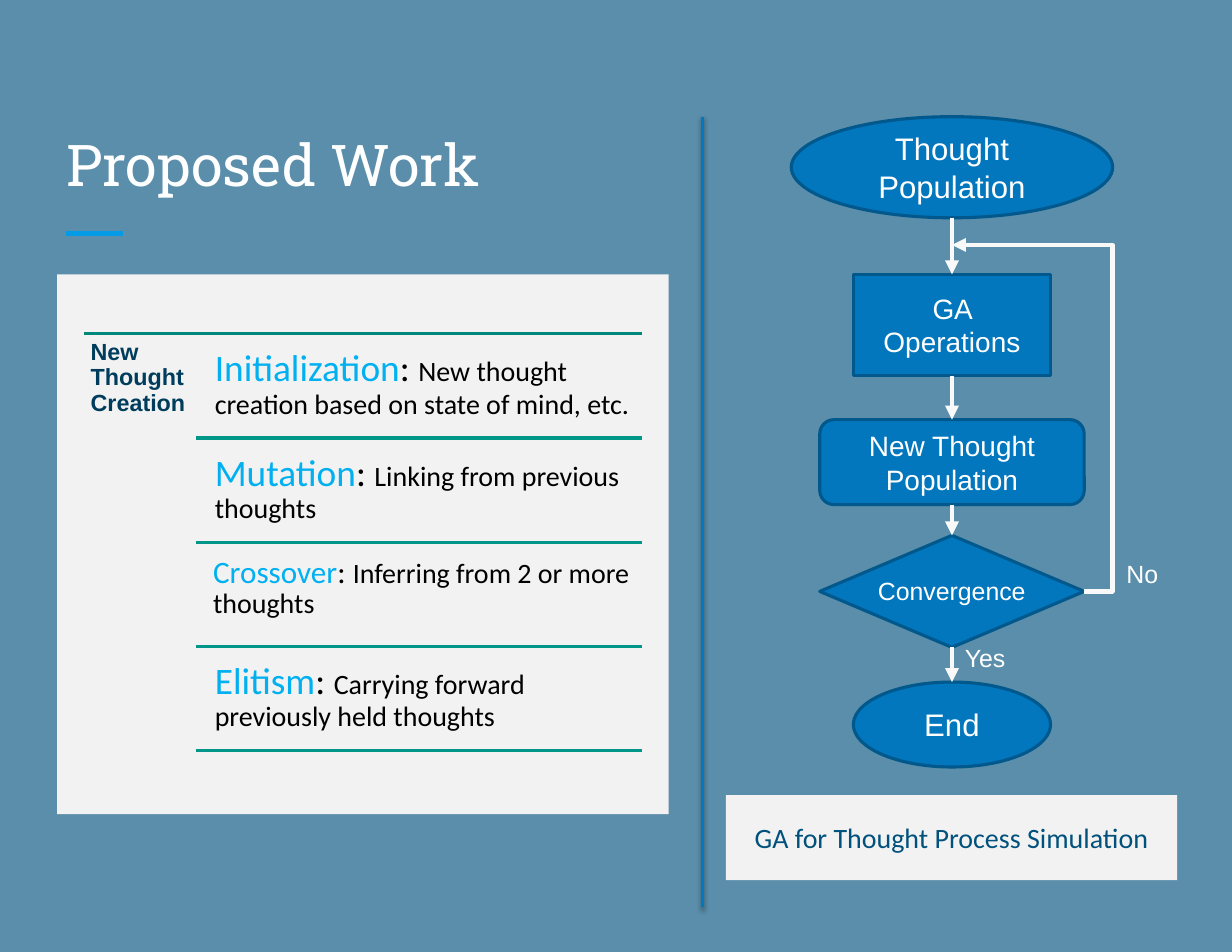
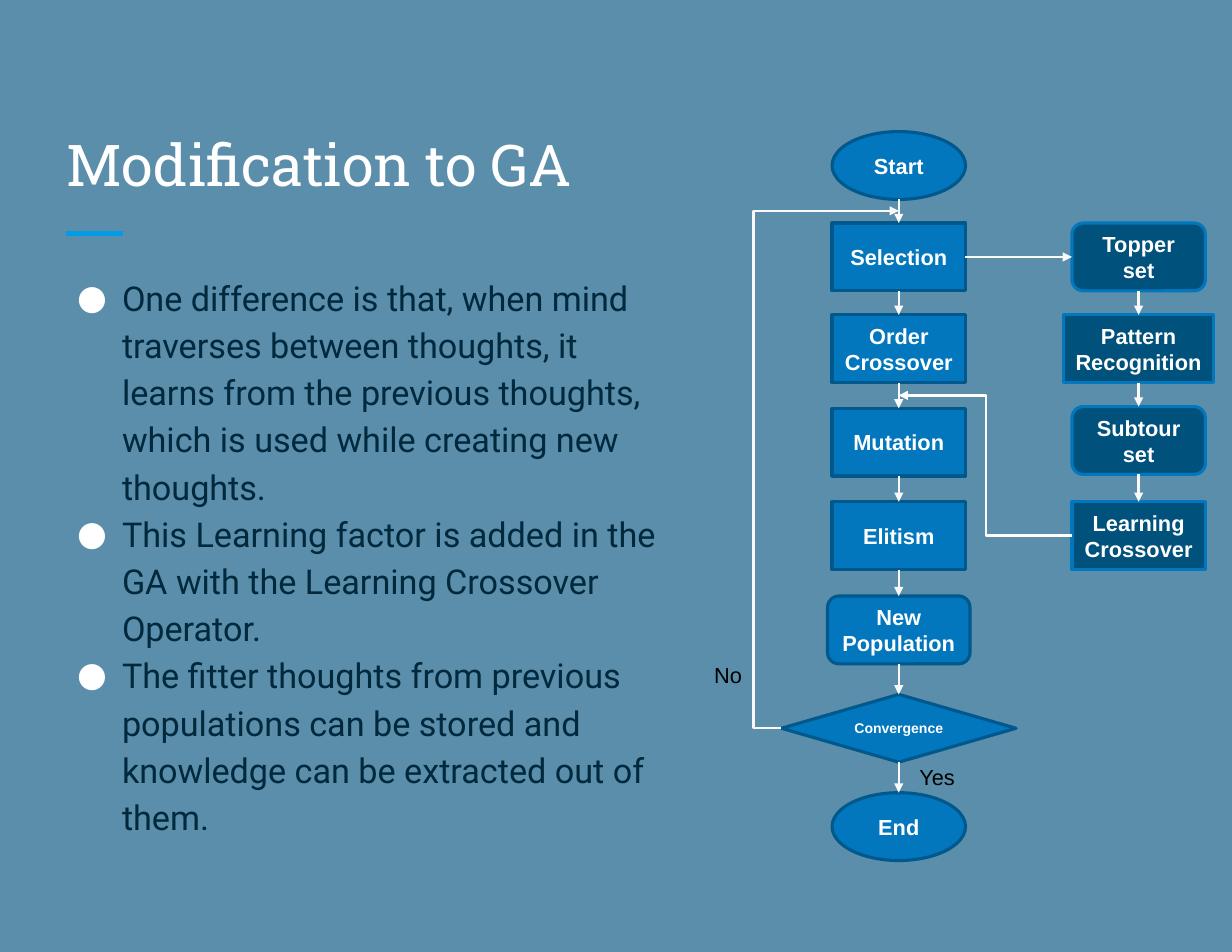
import lxml.etree
import pptx
import pptx.dml.color
import pptx.enum.shapes
import pptx.enum.text
import pptx.oxml.ns
import pptx.util

Pt = pptx.util.Pt
RGB = pptx.dml.color.RGBColor
SHAPE = pptx.enum.shapes.MSO_SHAPE
CONNECTOR = pptx.enum.shapes.MSO_CONNECTOR
ALIGN = pptx.enum.text.PP_ALIGN
ANCHOR = pptx.enum.text.MSO_ANCHOR
qn = pptx.oxml.ns.qn

BACKDROP = RGB(0x5A, 0x8E, 0xAA)
ACCENT = RGB(0x03, 0x9B, 0xE5)
BLUE = RGB(0x02, 0x77, 0xBD)
EDGE_BLUE = RGB(0x01, 0x58, 0x8C)
DEEP_BLUE = RGB(0x00, 0x51, 0x7C)
HEADING_BLUE = RGB(0x00, 0x3D, 0x5D)
BODY_NAVY = RGB(0x00, 0x29, 0x3E)
TERM_CYAN = RGB(0x00, 0xB0, 0xF0)
DARK_TEAL = RGB(0x00, 0x88, 0x7B)
TEAL = RGB(0x00, 0x96, 0x88)
PANEL = RGB(0xF2, 0xF2, 0xF2)
ARROW = RGB(0xF9, 0xF9, 0xF9)
WHITE = RGB(0xFF, 0xFF, 0xFF)
BLACK = RGB(0x00, 0x00, 0x00)

# Operators: term, term size, box inset, meaning
OPERATORS = [
    ("Initialization", 24, 7.2, "New thought creation based on state of mind, etc."),
    ("Mutation", 24, 7.2, "Linking from previous thoughts"),
    ("Crossover", 20, 6, "Inferring from 2 or more thoughts"),
    ("Elitism", 24, 7.2, "Carrying forward previously held thoughts"),
]
OPERATOR_TOP, OPERATOR_PITCH = 214.6, 66.96

# Flow steps: text, outline, top, width, height, text size
THOUGHT_X = 612
THOUGHT_FLOW = [
    ("Thought Population", SHAPE.OVAL, 75, 206.6, 65, 20),
    ("GA Operations", SHAPE.RECTANGLE, 176.4, 126.7, 65, 18),
    ("New Thought Population", SHAPE.ROUNDED_RECTANGLE, 269.8, 170, 54.6, 18),
    ("", SHAPE.DIAMOND, 344.2, 170, 72, 16),
    ("End", SHAPE.OVAL, 438.5, 126.7, 54.6, 20),
]
# Labels: text, left, top, width
THOUGHT_LABELS = [("Convergence", 557.3, 366.5, 112), ("No", 717.1, 355.7, 42),
                  ("Yes", 613.2, 409.7, 60)]

GA_X, LEARNING_X = 577.8, 732
STEP_W, STEP_H = 85.8, 43.6
GA_FLOW = [
    ("Start", SHAPE.OVAL, 84.6, STEP_W, STEP_H, 14),
    ("Selection", SHAPE.RECTANGLE, 143.4, STEP_W, STEP_H, 14),
    ("Order Crossover", SHAPE.RECTANGLE, 202.4, STEP_W, STEP_H, 14),
    ("Mutation", SHAPE.RECTANGLE, 262.5, STEP_W, STEP_H, 14),
    ("Elitism", SHAPE.RECTANGLE, 322.6, STEP_W, STEP_H, 14),
    ("New Population", SHAPE.ROUNDED_RECTANGLE, 383.2, 91.6, STEP_H, 14),
    ("Convergence", SHAPE.DIAMOND, 446.4, 150.8, STEP_H, 9),
    ("End", SHAPE.OVAL, 509.6, STEP_W, STEP_H, 14),
]
LEARNING_FLOW = [
    ("Topper set", SHAPE.ROUNDED_RECTANGLE, 143.4, STEP_W, STEP_H, 14),
    ("Pattern Recognition", SHAPE.RECTANGLE, 202.4, 96.6, STEP_H, 14),
    ("Subtour set", SHAPE.ROUNDED_RECTANGLE, 261.4, STEP_W, STEP_H, 14),
    ("Learning Crossover", SHAPE.RECTANGLE, 322.6, STEP_W, STEP_H, 14),
]
GA_LABELS = [("Yes", 583.9, 487.5, 50), ("No", 452, 421.9, 40)]

DIFFERENCES = [
    "One difference is that, when mind traverses between thoughts, it learns from "
    "the previous thoughts, which is used while creating new thoughts.",
    "This Learning factor is added in the GA with the Learning Crossover Operator.",
    "The fitter thoughts from previous populations can be stored and knowledge can "
    "be extracted out of them.",
]


def style_run(run, size, font, color, bold=False):
    run.font.size = Pt(size)
    run.font.name = font
    run.font.color.rgb = color
    run.font.bold = bold


def place(shape, left, top, width, height):
    shape.left, shape.top = Pt(left), Pt(top)
    shape.width, shape.height = Pt(width), Pt(height)


def set_frame(frame, inset_x, inset_y, anchor):
    frame.word_wrap = True
    frame.auto_size = pptx.enum.text.MSO_AUTO_SIZE.NONE
    frame.vertical_anchor = anchor
    frame.margin_left = frame.margin_right = Pt(inset_x)
    frame.margin_top = frame.margin_bottom = Pt(inset_y)


def add_line(slide, start, end, color, width, arrow=False, bend_x=None):
    """Draw a straight line, or an elbow whose upright part stands at bend_x."""
    kind = CONNECTOR.STRAIGHT if bend_x is None else CONNECTOR.ELBOW
    line = slide.shapes.add_connector(kind, *map(Pt, start + end))
    line.line.color.rgb = color
    line.line.width = Pt(width)
    properties = line._element.spPr
    if bend_x is not None:
        share = round((bend_x - start[0]) / (end[0] - start[0]) * 100000)
        guides = properties.find(qn("a:prstGeom")).get_or_add_avLst()
        lxml.etree.SubElement(guides, qn("a:gd"), name="adj1", fmla=f"val {share}")
    if arrow:
        lxml.etree.SubElement(properties.find(qn("a:ln")), qn("a:tailEnd"), type="triangle")
    lxml.etree.SubElement(properties, qn("a:effectLst"))
    return line


def add_shadow(line):
    effects = line._element.spPr.find(qn("a:effectLst"))
    shadow = lxml.etree.SubElement(effects, qn("a:outerShdw"), blurRad=str(Pt(3.1)),
                                   dist=str(Pt(1.6)), dir="5400000", rotWithShape="0")
    color = lxml.etree.SubElement(shadow, qn("a:srgbClr"), val=str(BLACK))
    lxml.etree.SubElement(color, qn("a:alpha"), val="38000")


def add_block(slide, outline, box, fill, edge=None):
    block = slide.shapes.add_shape(outline, *map(Pt, box))
    block.shadow.inherit = False
    block.fill.solid()
    block.fill.fore_color.rgb = fill
    if edge is None:
        block.line.fill.background()
    else:
        block.line.color.rgb = edge
        block.line.width = Pt(2)
    return block


def write_centred(block, text, size, font, color, bold=False):
    set_frame(block.text_frame, 6, 3.6, ANCHOR.MIDDLE)
    paragraph = block.text_frame.paragraphs[0]
    paragraph.text = text
    paragraph.alignment = ALIGN.CENTER
    for run in paragraph.runs:
        style_run(run, size, font, color, bold)


def add_text(slide, box, parts, inset_x, inset_y, spacing=1.0):
    """Add a one-paragraph box; each part is text, size, font, colour, bold."""
    frame = slide.shapes.add_textbox(*map(Pt, box)).text_frame
    set_frame(frame, inset_x, inset_y, ANCHOR.TOP)
    paragraph = frame.paragraphs[0]
    paragraph.line_spacing = spacing
    for text, *style in parts:
        run = paragraph.add_run()
        run.text = text
        style_run(run, *style)


def add_flow(slide, steps, center, fill, edge, arrow_width, bold=False):
    """Stack the steps on one axis and join each to the next."""
    for text, outline, top, width, height, size in steps:
        block = add_block(slide, outline, (center - width / 2, top, width, height), fill, edge)
        if text:
            write_centred(block, text, size, "Arial", WHITE, bold)
    for upper, lower in zip(steps, steps[1:]):
        add_line(slide, (center, upper[2] + upper[4]), (center, lower[2]),
                 ARROW, arrow_width, arrow=True)


def add_labels(slide, labels, size, color):
    for text, left, top, width in labels:
        add_text(slide, (left, top, width, 26), [(text, size, "Arial", color)], 7.2, 3.6)


def add_slide(deck, layout, heading, title_width):
    slide = deck.slides.add_slide(deck.slide_layouts[layout])
    add_line(slide, (42.3, 150), (79.2, 150), ACCENT, 3)
    title = slide.shapes.title
    place(title, 33.8, 54.7, title_width, 81.4)
    title.text_frame.text = heading
    set_frame(title.text_frame, 8.64, 8.64, ANCHOR.BOTTOM)
    paragraph = title.text_frame.paragraphs[0]
    paragraph.alignment = ALIGN.LEFT
    style_run(paragraph.runs[0], 37, "Roboto Slab", WHITE)
    return slide


def add_operators(slide):
    add_block(slide, SHAPE.RECTANGLE, (36.7, 176.4, 393.1, 347), PANEL)
    add_line(slide, (54, OPERATOR_TOP), (412.6, OPERATOR_TOP), DARK_TEAL, 2)
    add_text(slide, (54, OPERATOR_TOP, 72, 271),
             [("New Thought Creation", 15, "Arial", HEADING_BLUE, True)], 4.3, 4.3, 0.9)
    for row, (term, size, inset, meaning) in enumerate(OPERATORS):
        top = OPERATOR_TOP + row * OPERATOR_PITCH
        parts = [(term, size, "Calibri", TERM_CYAN), (": ", size, "Calibri", BLACK),
                 (meaning, 18, "Calibri", BLACK)]
        add_text(slide, (131, top + 3, 281.5, 64), parts, inset, inset, 0.9)
        bottom = top + OPERATOR_PITCH
        add_line(slide, (126, bottom), (412.6, bottom), TEAL, 2)


def add_bullets(body, items):
    place(body, 33.8, 165.6, 405.4, 419)
    frame = body.text_frame
    frame.text = "\n".join(items)
    set_frame(frame, 8.64, 8.64, ANCHOR.TOP)
    for paragraph in frame.paragraphs:
        properties = paragraph._p.get_or_add_pPr()
        properties.set("marL", str(Pt(36)))
        properties.set("indent", str(Pt(-28.8)))
        bullet_color = lxml.etree.SubElement(properties, qn("a:buClr"))
        lxml.etree.SubElement(bullet_color, qn("a:srgbClr"), val=str(WHITE))
        lxml.etree.SubElement(properties, qn("a:buFont"), typeface="Roboto")
        lxml.etree.SubElement(properties, qn("a:buChar"), char="●")
        paragraph.line_spacing = 1.15
        paragraph.space_before = paragraph.space_after = Pt(0)
        style_run(paragraph.runs[0], 22, "Roboto", BODY_NAVY)


def build_proposed_work(deck):
    slide = add_slide(deck, 5, "Proposed Work", 725)
    add_flow(slide, THOUGHT_FLOW, THOUGHT_X, BLUE, EDGE_BLUE, 3)
    add_line(slide, (697, 380.2), (THOUGHT_X, 157.5), ARROW, 3, arrow=True, bend_x=715)
    add_labels(slide, THOUGHT_LABELS, 16, WHITE)
    add_operators(slide)
    caption = add_block(slide, SHAPE.RECTANGLE, (466.6, 511.2, 290.2, 54.7), PANEL)
    write_centred(caption, "GA for Thought Process Simulation", 18, "Calibri", DEEP_BLUE)
    add_shadow(add_line(slide, (451.4, 75), (451.4, 583.2), BLUE, 2))


def build_modification(deck):
    slide = add_slide(deck, 1, "Modification to GA", 362)
    add_bullets(slide.placeholders[1], DIFFERENCES)
    add_flow(slide, GA_FLOW, GA_X, BLUE, EDGE_BLUE, 1.5, bold=True)
    add_flow(slide, LEARNING_FLOW, LEARNING_X, DEEP_BLUE, BLUE, 1.5, bold=True)
    add_line(slide, (502.4, 468), (GA_X, 135.6), ARROW, 1.5, arrow=True, bend_x=484.4)
    learning_left = LEARNING_X - STEP_W / 2
    add_line(slide, (learning_left, 344.4), (GA_X, 254.2), WHITE, 1.5, arrow=True, bend_x=633.8)
    add_line(slide, (GA_X + STEP_W / 2, 165.2), (learning_left, 165.2), ARROW, 1.5, arrow=True)
    add_labels(slide, GA_LABELS, 14, BLACK)


def main():
    deck = pptx.Presentation()
    deck.slide_width, deck.slide_height = Pt(792), Pt(612)
    backdrop = deck.slide_master.background.fill
    backdrop.solid()
    backdrop.fore_color.rgb = BACKDROP
    build_proposed_work(deck)
    build_modification(deck)
    deck.save("out.pptx")


if __name__ == "__main__":
    main()
